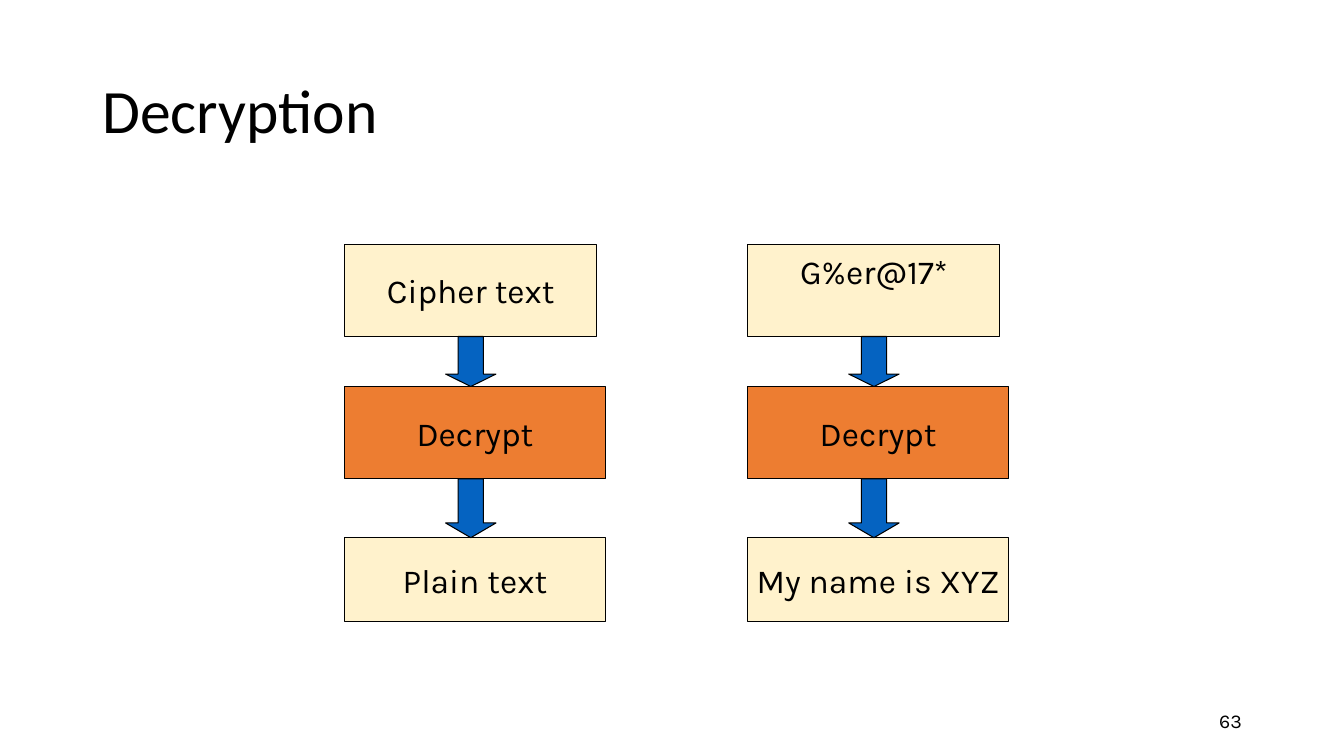
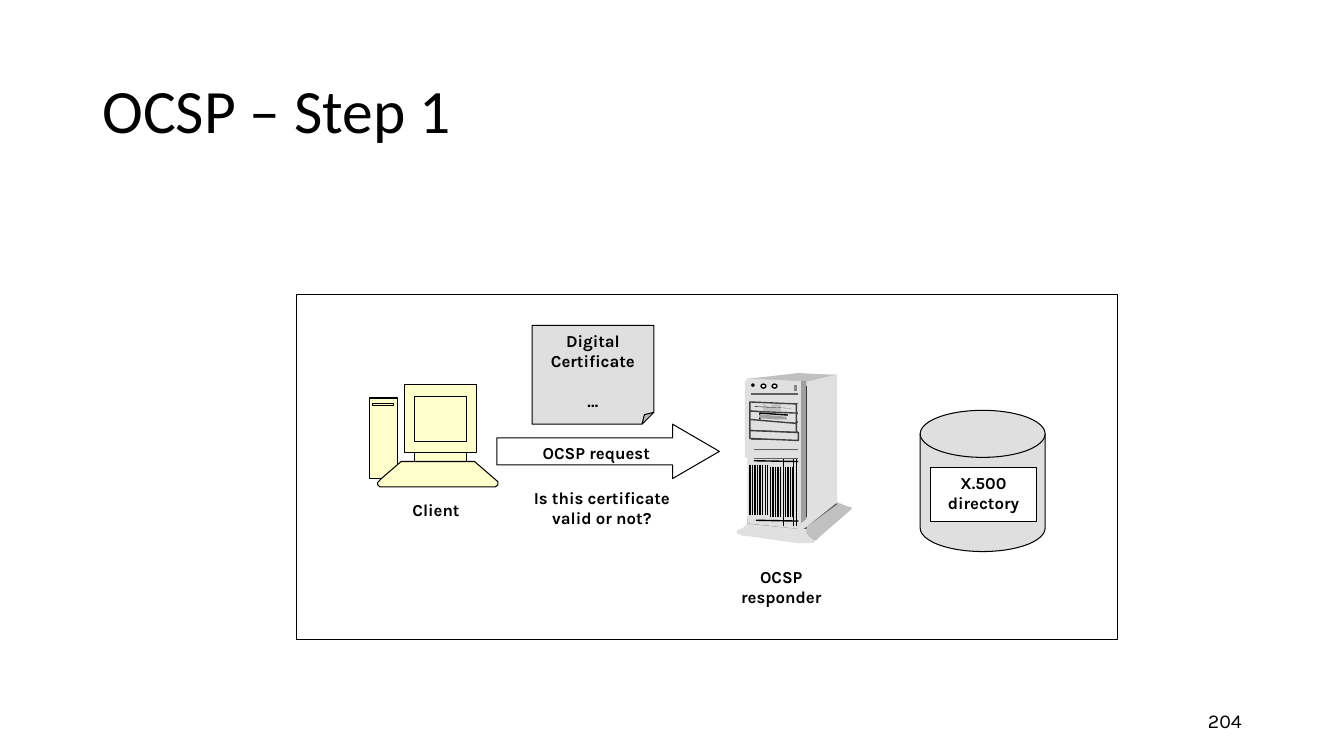
from lxml import etree
from pptx import Presentation
from pptx.dml.color import RGBColor
from pptx.enum.shapes import MSO_CONNECTOR, MSO_SHAPE
from pptx.enum.text import MSO_ANCHOR, PP_ALIGN
from pptx.oxml.ns import qn
from pptx.util import Cm, Pt

RECTANGLE = MSO_SHAPE.RECTANGLE
OVAL = MSO_SHAPE.OVAL
DOWN_ARROW = MSO_SHAPE.DOWN_ARROW
RIGHT_ARROW = MSO_SHAPE.RIGHT_ARROW
FOLDED_CORNER = MSO_SHAPE.FOLDED_CORNER
DISK = MSO_SHAPE.FLOWCHART_MAGNETIC_DISK
STRAIGHT = MSO_CONNECTOR.STRAIGHT
TOP, MIDDLE = MSO_ANCHOR.TOP, MSO_ANCHOR.MIDDLE
LEFT, CENTER, RIGHT = PP_ALIGN.LEFT, PP_ALIGN.CENTER, PP_ALIGN.RIGHT

COLORS = {
    "black": "000000",
    "white": "FFFFFF",
    "cream": "FFF2CC",
    "orange": "ED7D31",
    "blue": "0563C1",
    "yellow": "FFFFCC",
    "case": "E0E0E0",
    "silver": "C0C0C0",
    "shade": "A0A0A0",
    "gray": "808080",
    "slate": "606060",
    "charcoal": "404040",
}
TITLE_FONT, BODY_FONT = "Calibri", "Karla"
GRID = Cm(0.01)


def color(name):
    return RGBColor.from_string(COLORS[name])


def paint(shape, fill=None, line=None, width=0.75, alpha=None):
    shape.shadow.inherit = False
    if fill:
        shape.fill.solid()
        shape.fill.fore_color.rgb = color(fill)
    else:
        shape.fill.background()
    if alpha:
        tint = shape._element.spPr.find(qn("a:solidFill"))[0]
        etree.SubElement(tint, qn("a:alpha")).set("val", str(alpha * 1000))
    if line:
        shape.line.color.rgb = color(line)
        shape.line.width = Pt(width)
    else:
        shape.line.fill.background()


def write(shape, text, size, font=BODY_FONT, bold=False, align=CENTER, anchor=TOP, wrap=True):
    text_frame = shape.text_frame
    text_frame.text = text
    text_frame.word_wrap = wrap
    text_frame.vertical_anchor = anchor
    for paragraph in text_frame.paragraphs:
        paragraph.alignment = align
        paragraph.font.size = Pt(size)
        for run in paragraph.runs:
            run.font.name = font
            run.font.size = Pt(size)
            run.font.bold = bold
            run.font.color.rgb = color("black")
    return text_frame


def adjust(shape, adjustments):
    geometry = shape._element.spPr.find(qn("a:prstGeom"))
    guides = geometry.find(qn("a:avLst"))
    if guides is None:
        guides = etree.SubElement(geometry, qn("a:avLst"))
    for guide in list(guides):
        guides.remove(guide)
    for name, value in adjustments.items():
        guide = etree.SubElement(guides, qn("a:gd"))
        guide.set("name", name)
        guide.set("fmla", f"val {round(value * 100000)}")


def add_box(slide, box, kind=RECTANGLE, adjustments=None, **style):
    shape = slide.shapes.add_shape(kind, *map(Cm, box))
    if adjustments:
        adjust(shape, adjustments)
    paint(shape, **style)
    return shape


def add_label(slide, text, box, **style):
    shape = add_box(slide, box, **style)
    return write(shape, text, 12, bold=True)


def add_text(slide, text, box, size, **style):
    shape = slide.shapes.add_textbox(*map(Cm, box))
    return write(shape, text, size, anchor=MIDDLE, **style)


def add_slide(presentation, title, number):
    slide = presentation.slides.add_slide(presentation.slide_layouts[6])
    add_text(slide, number, (23.93, 17.65, 7.62, 1.02), 14, align=RIGHT)
    heading = add_text(slide, title, (2.33, 1.02, 29.21, 3.68), 44, font=TITLE_FONT, align=LEFT)
    heading.paragraphs[0].line_spacing = 0.9
    return slide


class Icon:
    def __init__(self, slide, left, top):
        self.left, self.top = Cm(left), Cm(top)
        self.shapes = slide.shapes.add_group_shape().shapes

    def outline(self, points, fill=None, line=None, width=1, close=True):
        builder = self.shapes.build_freeform(*points[0], scale=GRID)
        builder.add_line_segments(points[1:], close=close)
        paint(builder.convert_to_shape(self.left, self.top), fill, line, width)

    def preset(self, kind, x, y, width, height, fill, line):
        shape = self.shapes.add_shape(
            kind, self.left + x * GRID, self.top + y * GRID, width * GRID, height * GRID
        )
        paint(shape, fill, line, 1 if kind == OVAL or line == "gray" else 0.75)

    def stroke(self, x1, y1, x2, y2, line):
        connector = self.shapes.add_connector(
            STRAIGHT,
            self.left + round(x1 * GRID),
            self.top + y1 * GRID,
            self.left + round(x2 * GRID),
            self.top + y2 * GRID,
        )
        connector.line.color.rgb = color(line)
        connector.line.width = Pt(1)
        etree.SubElement(connector._element.spPr, qn("a:effectLst"))


def draw_client(slide):
    icon = Icon(slide, 9.3, 9.7)
    base = [(81, 193), (266, 193), (325, 244), (325, 252), (318, 257),
            (28, 257), (22, 252), (22, 246), (30, 237)]
    tower, slot = (2, 33, 69, 204), (10, 47, 51, 5)
    monitor, screen, neck = (89, 0, 182, 170), (114, 28, 132, 115), (114, 170, 132, 23)
    for part in (tower, slot, monitor, screen, neck):
        icon.preset(RECTANGLE, *part, "yellow", "black")
    icon.outline(base, "yellow", "black", 0.75)


def draw_server_case(icon):
    foot_front = [(35, 378), (27, 386), (22, 391), (7, 396), (7, 406), (14, 406), (22, 411),
                  (35, 411), (162, 429), (200, 429), (207, 421), (212, 416), (253, 325)]
    foot_side = [(182, 391), (182, 406), (187, 406), (187, 411), (195, 416), (200, 421),
                 (207, 421), (212, 416), (296, 343), (296, 338), (291, 338), (258, 325)]
    underside = [(258, 330), (182, 386), (182, 391), (162, 391), (35, 378), (35, 368)]
    body = [(258, 5), (258, 325), (182, 386), (174, 391), (162, 391), (40, 378),
            (35, 378), (35, 15), (169, 5)]
    lid = [(35, 15), (162, 0), (253, 5), (169, 25), (35, 20)]
    front = [(35, 363), (35, 368), (47, 368), (174, 373), (174, 25), (169, 20), (157, 20),
             (60, 15), (35, 15), (27, 20), (27, 213), (35, 213)]
    edge = [(169, 378), (182, 368), (182, 20), (169, 20)]
    icon.outline(foot_front, "case")
    icon.outline(foot_side, "silver")
    icon.outline(underside, "slate", "slate")
    icon.outline(body, "case", "case")
    icon.outline(lid, "silver")
    icon.outline(front, "case")
    icon.stroke(182, 33, 182, 363, "black")
    icon.outline(edge, "shade")


def draw_server_grille(icon):
    for y in (193, 216):
        icon.stroke(50, y, 162, y, "slate")
    icon.stroke(55, 371, 162, 373, "black")
    for x in (124, 149, 157):
        icon.stroke(x, 216, x, 385, "black")
    for index in range(18):
        if index != 13:
            x = 40 + 6.4 * index
            top = 231 if index < 8 else 236
            icon.stroke(x, top, x, top + 127, "black")
    icon.stroke(50, 221, 162, 223, "black")


def draw_server_drives(icon):
    for x, y in ((42, 53), (50, 77), (50, 101), (50, 123), (50, 147), (42, 168)):
        icon.stroke(x, y, 162, y, "slate")
    icon.preset(OVAL, 45, 28, 5, 5, "black", "black")
    for x in (68, 96):
        icon.preset(OVAL, x, 28, 12, 10, "white", "black")
    icon.preset(RECTANGLE, 152, 33, 5, 10, "shade", "gray")
    bays = ((73, 96, 78, 106, 157), (96, 122, 101, 127, 157),
            (117, 145, 127, 150, 157), (145, 165, 150, 170, 162))
    for left_top, left_bottom, right_top, right_bottom, right in bays:
        bay = [(40, left_top), (40, left_bottom), (right, right_bottom), (right, right_top)]
        icon.outline(bay, "case", "charcoal")
    tray_edge = [(65, 117), (65, 101), (136, 106)]
    tray = [(65, 106), (65, 112), (131, 117), (131, 112)]
    tray_corner = [(111, 117), (131, 117), (131, 122)]
    handle = [(73, 78), (73, 96), (118, 96), (118, 78), (98, 78), (91, 86)]
    slit = [(52, 84), (144, 89), (52, 85)]
    icon.outline(tray_edge, line="black", close=False)
    icon.outline(tray, "shade", "shade")
    icon.outline(tray_corner, "case")
    icon.outline(handle, "silver")
    icon.outline(slit, "black")


def draw_server(slide):
    icon = Icon(slide, 18.5, 9.4)
    draw_server_case(icon)
    draw_server_grille(icon)
    draw_server_drives(icon)


def build_decryption(presentation):
    slide = add_slide(presentation, "Decryption", "63")
    rows = ((6.15, 6.35, 2.33, "cream"), (9.74, 6.56, 2.33, "orange"), (13.55, 6.56, 2.12, "cream"))
    columns = (
        (8.69, ("Cipher text", "Decrypt", "Plain text")),
        (18.85, ("G%er@17*", "Decrypt", "My name is XYZ")),
    )
    for left, labels in columns:
        for (top, width, height, fill), label in zip(rows, labels):
            step = add_box(slide, (left, top, width, height), fill=fill, line="black")
            text_frame = write(step, label, 24, anchor=MIDDLE, wrap=False)
            if label == "G%er@17*":
                text_frame.vertical_anchor = TOP
                text_frame.margin_top = Cm(0.18)
        for upper, lower in zip(rows, rows[1:]):
            bottom = upper[0] + upper[2]
            gap = lower[0] - bottom
            add_box(slide, (left + 2.54, bottom, 1.27, gap), DOWN_ARROW,
                    {"adj1": 0.5, "adj2": 0.25 * gap / 1.27}, fill="blue", line="black")


def build_ocsp(presentation):
    slide = add_slide(presentation, "OCSP – Step 1", "204")
    add_box(slide, (7.47, 7.42, 20.7, 8.69), fill="white", line="black")
    draw_client(slide)
    add_label(slide, "Client", (9.96, 12.47, 2.06, 0.69), fill="white")
    add_box(slide, (23.19, 10.34, 3.15, 3.56), DISK, fill="silver", line="black", alpha=50)
    draw_server(slide)
    add_label(slide, "X.500 directory", (23.44, 11.79, 2.69, 1.35), fill="white", line="black")
    add_label(slide, "OCSP request", (12.52, 10.69, 5.61, 1.37), kind=RIGHT_ARROW,
              adjustments={"adj1": 0.5, "adj2": 0.86}, line="black")
    certificate = add_label(slide, "Digital Certificate\n…", (13.41, 8.2, 3.07, 2.49),
                            kind=FOLDED_CORNER, adjustments={"adj": 0.12},
                            fill="silver", line="black", alpha=50)
    certificate.paragraphs[1].space_before = Pt(14)
    add_label(slide, "Is this certificate valid or not?", (12.78, 12.17, 4.78, 1.47), fill="white")
    add_label(slide, "OCSP responder", (18.19, 14.15, 3, 1.32), fill="white")


def main():
    presentation = Presentation()
    presentation.slide_width = Cm(33.87)
    presentation.slide_height = Cm(19.05)
    build_decryption(presentation)
    build_ocsp(presentation)
    presentation.save("out.pptx")


if __name__ == "__main__":
    main()
